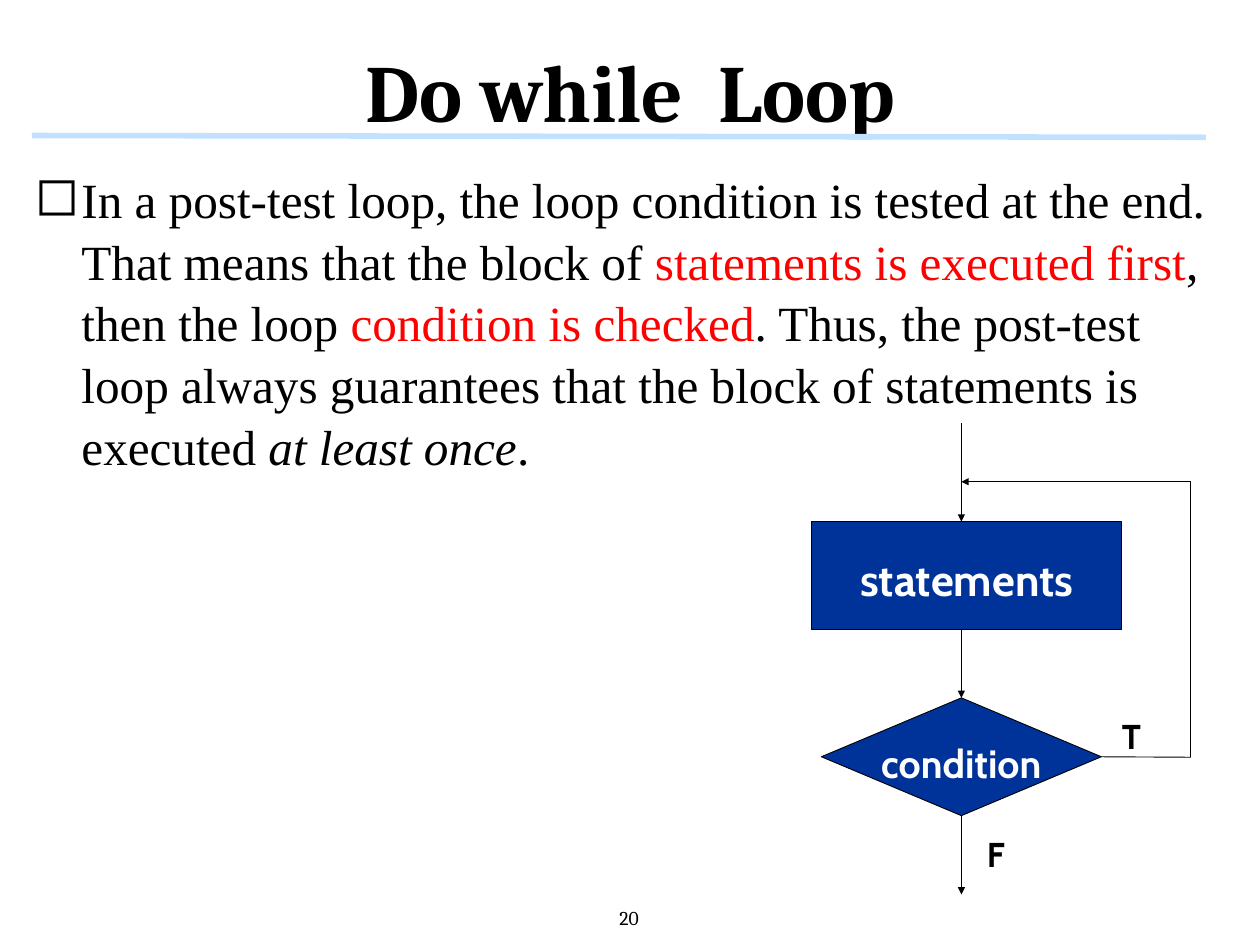
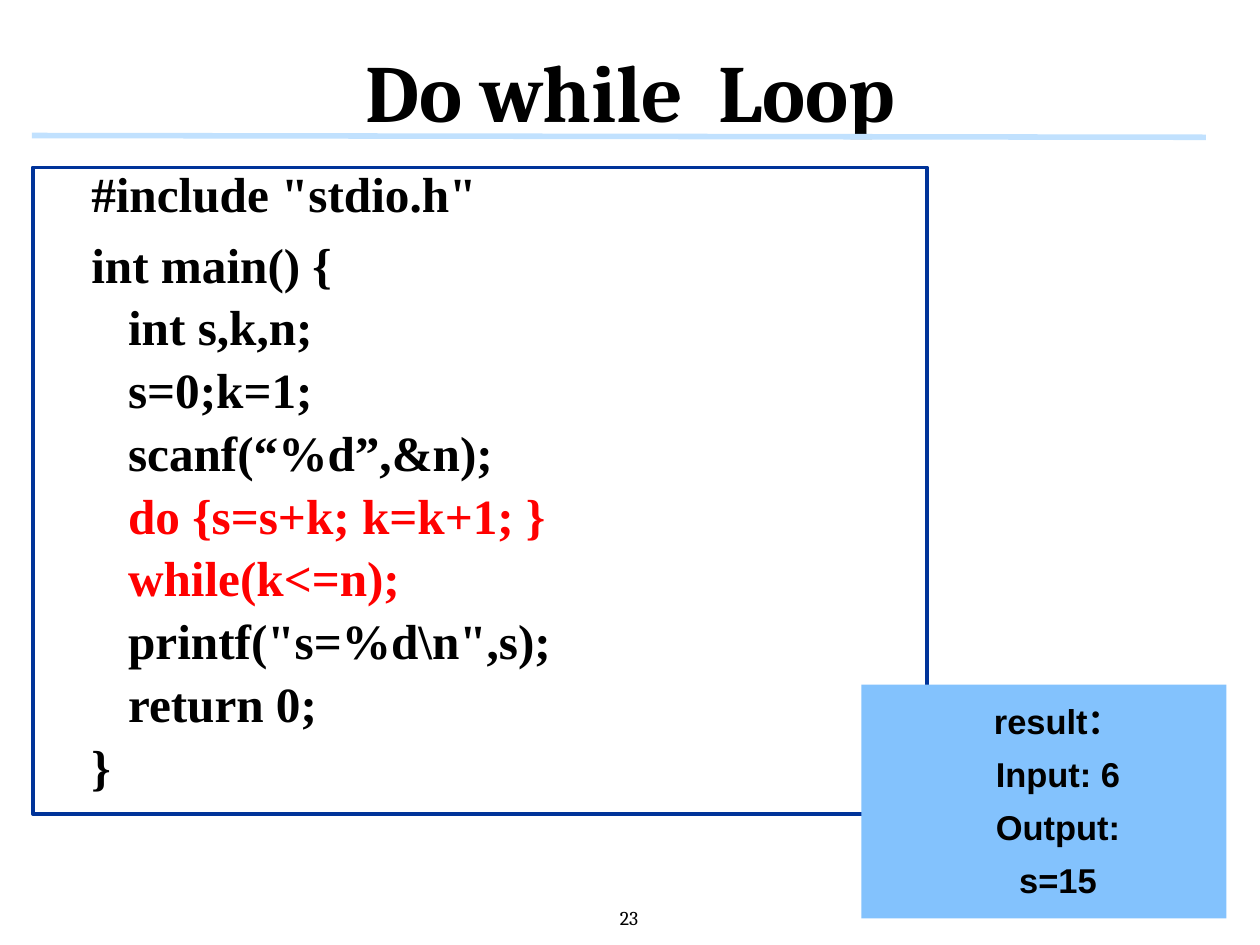
"""Build two slides about the do-while loop: a flowchart and a code example."""
from lxml.etree import SubElement
from pptx import Presentation
from pptx.dml.color import RGBColor
from pptx.enum.shapes import MSO_CONNECTOR as CONN, MSO_SHAPE as SHAPE
from pptx.enum.text import MSO_ANCHOR as ANCHOR, MSO_AUTO_SIZE as FIT, PP_ALIGN as ALIGN
from pptx.oxml.ns import qn
from pptx.util import Inches, Pt

BLACK, WHITE, RED = "000000", "FFFFFF", "FF0000"
NAVY, SKY, PALE = "003399", "83C2FD", "C1E1FE"
SERIF, BODY, LABEL, SANS = "Cambria", "Times New Roman", "Cabin", "Arial"
rgb = RGBColor.from_string


def write(sp, paras, size, font, color=BLACK, bold=False, align=ALIGN.CENTER, leading=48,
          anchor=ANCHOR.MIDDLE, inset=None, wrap=True, left=0, first=0, after=(), bullet=None):
    """Fill a shape with paragraphs, each a string or a list of (text, overrides) runs."""
    tf = sp.text_frame
    tf.auto_size, tf.word_wrap, tf.vertical_anchor = FIT.NONE, wrap, anchor
    if inset is not None:
        tf.margin_left = tf.margin_right = tf.margin_top = tf.margin_bottom = Inches(inset)
    for i, runs in enumerate(paras):
        p = tf.paragraphs[0] if i == 0 else tf.add_paragraph()
        p.alignment, p.line_spacing, p.space_before = align, Pt(leading), Pt(0)
        if after:
            p.space_after = Pt(after[min(i, len(after) - 1)])
        pPr = p._p.get_or_add_pPr()
        pPr.set("marL", str(Inches(left)))
        pPr.set("indent", str(Inches(first)))
        if bullet:
            SubElement(pPr, qn("a:buSzPct")).set("val", "110000")
            SubElement(pPr, qn("a:buChar")).set("char", bullet)
        for text, own in [(runs, {})] if isinstance(runs, str) else runs:
            r = p.add_run()
            r.text = text
            r.font.name, r.font.size, r.font.bold = font, Pt(size), bold
            r.font.italic = own.get("italic", False)
            r.font.color.rgb = rgb(own.get("color", color))


def add_line(s, x1, y1, x2, y2, color=BLACK, width=0.75, arrow=False):
    """Draw a straight line, with an arrowhead at its end on request."""
    c = s.shapes.add_connector(CONN.STRAIGHT, Inches(x1), Inches(y1), Inches(x2), Inches(y2))
    c.line.color.rgb, c.line.width = rgb(color), Pt(width)
    if arrow:
        SubElement(c.line._get_or_add_ln(), qn("a:tailEnd")).set("type", "triangle")
    SubElement(c._element.spPr, qn("a:effectLst"))
    return c


prs = Presentation()
prs.slide_width, prs.slide_height = Inches(14.22), Inches(10.67)

slides = []
for number in ("20", "23"):
    s = prs.slides.add_slide(prs.slide_layouts[5])
    add_line(s, 0.36, 1.53, 13.61, 1.55, PALE, 4.5)
    title = s.shapes.title
    title.left, title.top, title.width, title.height = map(Inches, (0.01, 0.06, 14.21, 1.67))
    write(title, ["Do while  Loop"], 66, SERIF, bold=True, leading=96, inset=0)
    tb = s.shapes.add_textbox(*map(Inches, (6.94, 10.19, 0.32, 0.35)))
    write(tb, [number], 16, SERIF, leading=19, inset=0.04, wrap=False)
    slides.append(s)
flow, code = slides

tb = flow.shapes.add_textbox(*map(Inches, (0.06, 2.03, 13.97, 3.19)))
red = {"color": RED}
write(tb, [[
    ("In a post-test loop, the loop condition is tested at the end. "
     "That means that the block of ", {}),
    ("statements is executed first", red),
    (", then the loop ", {}),
    ("condition is checked", red),
    (". Thus, the post-test loop always guarantees that the block of statements is executed ", {}),
    ("at least once", {"italic": True}),
    (".", {}),
]], 40, BODY, align=ALIGN.LEFT, leading=50, inset=0.06, left=0.8, first=-0.53, bullet="◻")

for kind, at, text, size in (
    (SHAPE.RECTANGLE, (9.16, 5.89, 3.5, 1.22), "statements", 36),
    (SHAPE.DIAMOND, (9.27, 7.88, 3.16, 1.33), "condition", 32),
):
    node = flow.shapes.add_shape(kind, *map(Inches, at))
    node.shadow.inherit = False
    node.fill.solid()
    node.fill.fore_color.rgb = rgb(NAVY)
    node.line.color.rgb, node.line.width = rgb(BLACK), Pt(0.75)
    write(node, [text], size, LABEL, WHITE, bold=True, wrap=False)

for text, at in (("T", (12.43, 7.99, 0.68, 0.44)), ("F", (10.96, 9.21, 0.56, 0.66))):
    tb = flow.shapes.add_textbox(*map(Inches, at))
    write(tb, [text], 28, LABEL, bold=True, wrap=False)

axis, loop_x, loop_y, test_y = 10.85, 13.44, 5.44, 8.55
add_line(flow, axis, 4.78, axis, 5.89, arrow=True)
add_line(flow, axis, 7.11, axis, 7.88, arrow=True).end_connect(node, 0)
add_line(flow, axis, 9.21, axis, 10.1, arrow=True).begin_connect(node, 2)
add_line(flow, loop_x, test_y, 12.43, test_y).end_connect(node, 3)
add_line(flow, loop_x, loop_y, loop_x, test_y)
add_line(flow, loop_x, loop_y, axis, loop_y, arrow=True)

listing = [
    '#include "stdio.h"',
    "int main() {",
    "   int s,k,n;",
    "   s=0;k=1;",
    "   scanf(“%d”,&n);",
    [("   do {s=s+k; k=k+1; }", red)],
    [("   while(k<=n);", red)],
    '   printf("s=%d\\n",s);',
    "   return 0;",
    "}",
]
panel = code.shapes.add_shape(SHAPE.RECTANGLE, *map(Inches, (0.37, 1.89, 10.09, 7.3)))
result = code.shapes.add_shape(SHAPE.RECTANGLE, *map(Inches, (9.72, 7.73, 4.12, 2.64)))
for sp, fill in ((panel, WHITE), (result, SKY)):
    sp.shadow.inherit = False
    sp.fill.solid()
    sp.fill.fore_color.rgb = rgb(fill)
panel.line.color.rgb, panel.line.width = rgb(NAVY), Pt(3)
result.line.fill.background()
write(panel, listing, 40, BODY, bold=True, align=ALIGN.LEFT, leading=45, anchor=ANCHOR.TOP,
      inset=0, left=1.19, first=-0.53, after=(12, 6))
write(result, ["result：", "Input: 6", "Output:", "s=15"], 28, SANS, bold=True, leading=43,
      anchor=ANCHOR.TOP, first=0.32)

prs.save("out.pptx")
